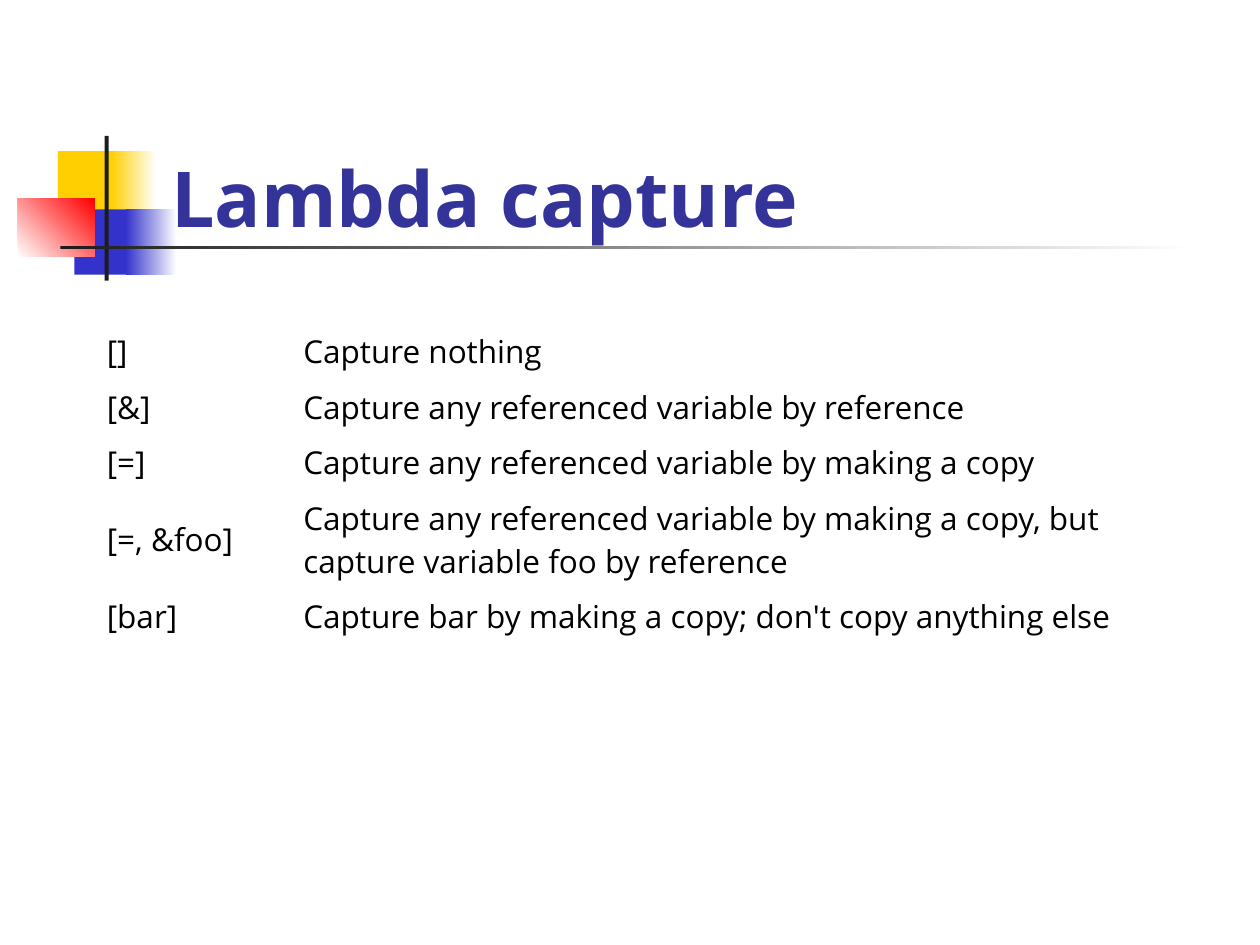
import pptx
import pptx.util
import pptx.dml.color
import pptx.enum.shapes
import pptx.enum.text

Cm = pptx.util.Cm
COLOURS = {
    "white": "FFFFFF", "black": "000000", "yellow": "FFCF01", "blue": "3333CC",
    "red": "FF0000", "charcoal": "1C1C1C", "title": "333399",
}

# Content
TITLE = "Lambda capture"
CAPTURES = [
    ("[]", "Capture nothing"),
    ("[&]", "Capture any referenced variable by reference"),
    ("[=]", "Capture any referenced variable by making a copy"),
    ("[=, &foo]", "Capture any referenced variable by making a copy, "
                  "but capture variable foo by reference"),
    ("[bar]", "Capture bar by making a copy; don't copy anything else"),
]
COLUMN_WIDTHS = (3.96, 18.44)
LINE_HEIGHT, CELL_PADDING = 0.86, 0.26
TWO_LINE_ROW = 3

# Ornament: left, top, width, height in cm, colours from start to end, angle
ORNAMENT = [
    (1.17, 3.05, 1.22, 1.32, ("yellow",), 0),
    (2.24, 3.05, 0.91, 1.32, ("yellow", "white"), 0),
    (1.5, 4.22, 1.17, 1.32, ("blue",), 0),
    (2.54, 4.22, 1.02, 1.32, ("blue", "white"), 0),
    (0.36, 4.01, 1.55, 1.17, ("white", "red"), 45),
    (2.11, 2.74, 0.08, 2.92, ("charcoal",), 0),
    (1.22, 4.95, 22.86, 0.08, ("charcoal", "white"), 0),
]


def rgb(name):
    return pptx.dml.color.RGBColor.from_string(COLOURS[name])


def write(frame, text, font="Open Sans", size=18, colour="black", bold=False):
    frame.word_wrap = True
    run = frame.paragraphs[0].add_run()
    run.text = text
    run.font.name = font
    run.font.size = pptx.util.Pt(size)
    run.font.bold = bold
    run.font.color.rgb = rgb(colour)


deck = pptx.Presentation()
deck.slide_width, deck.slide_height = Cm(25.4), Cm(19.05)
slide = deck.slides.add_slide(deck.slide_layouts[6])

# Coloured squares and cross lines
for left, top, width, height, colours, angle in ORNAMENT:
    block = slide.shapes.add_shape(
        pptx.enum.shapes.MSO_SHAPE.RECTANGLE,
        Cm(left), Cm(top), Cm(width), Cm(height))
    block.shadow.inherit = False
    block.line.fill.background()
    if len(colours) == 1:
        block.fill.solid()
        block.fill.fore_color.rgb = rgb(colours[0])
    else:
        block.fill.gradient()
        block.fill.gradient_angle = angle
        for stop, position, colour in zip(block.fill.gradient_stops, (0, 1), colours):
            stop.position = position
            stop.color.rgb = rgb(colour)

# Title
heading = slide.shapes.add_textbox(Cm(3.2), Cm(1.73), Cm(21.64), Cm(3.17)).text_frame
heading.vertical_anchor = pptx.enum.text.MSO_ANCHOR.BOTTOM
heading.margin_bottom = 0
write(heading, TITLE, font="Noto Sans", size=44, colour="title", bold=True)

# Capture table
row_heights = [CELL_PADDING + LINE_HEIGHT * (2 if i == TWO_LINE_ROW else 1)
               for i in range(len(CAPTURES))]
captures = slide.shapes.add_table(
    len(CAPTURES), len(COLUMN_WIDTHS), Cm(1.9), Cm(6.53),
    Cm(sum(COLUMN_WIDTHS)), Cm(sum(row_heights))).table
captures.first_row = captures.horz_banding = False
for column, width in zip(captures.columns, COLUMN_WIDTHS):
    column.width = Cm(width)
for row, height, texts in zip(captures.rows, row_heights, CAPTURES):
    row.height = Cm(height)
    for cell, text in zip(row.cells, texts):
        cell.fill.solid()
        cell.fill.fore_color.rgb = rgb("white")
        cell.vertical_anchor = pptx.enum.text.MSO_ANCHOR.MIDDLE
        write(cell.text_frame, text)

deck.save("out.pptx")
